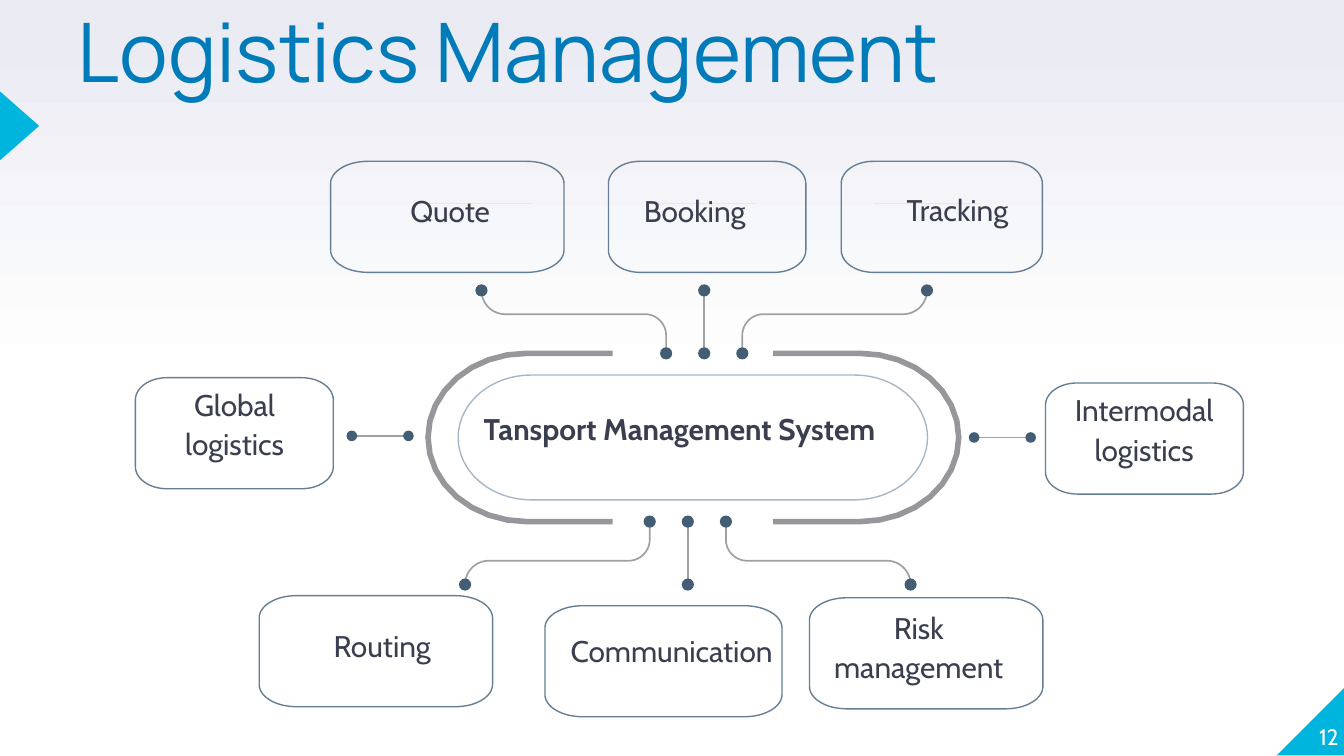
import copy
import math
import pptx
import pptx.util
import pptx.dml.color
import pptx.enum.shapes
import pptx.enum.text
import pptx.oxml.ns
import pptx.oxml.xmlchemy
import lxml.etree

Cm = pptx.util.Cm
Pt = pptx.util.Pt
SHAPE = pptx.enum.shapes.MSO_SHAPE
ALIGN = pptx.enum.text.PP_ALIGN
ANCHOR = pptx.enum.text.MSO_ANCHOR
CYAN, BLUE, INK, WHITE = "00B5DD", "007BB9", "3A3F50", "FFFFFF"
SLATE, PALE_SLATE, GREY, LINK_GREY, RULE = "657E93", "A5B7C6", "96979B", "9FA0A4", "E3E9ED"
DOT = "435D74"


def colour(code):
    return pptx.dml.color.RGBColor.from_string(code)


def write_text(text, left, top, width, height, size=16, font="Cabin", ink=INK, bold=False,
               align=ALIGN.CENTER, anchor=ANCHOR.TOP, spacing=1.1, before=6):
    frame = slide.shapes.add_textbox(Cm(left), Cm(top), Cm(width), Cm(height)).text_frame
    frame.margin_left = frame.margin_right = frame.margin_top = frame.margin_bottom = 0
    frame.word_wrap = True
    frame.vertical_anchor = anchor
    paragraph = frame.paragraphs[0]
    paragraph.alignment = align
    paragraph.line_spacing = spacing
    paragraph.space_before = Pt(before)
    run = paragraph.add_run()
    run.text = text
    run.font.size = Pt(size)
    run.font.name = font
    run.font.bold = bold
    run.font.color.rgb = colour(ink)


presentation = pptx.Presentation()
presentation.slide_width = Cm(25.4)
presentation.slide_height = Cm(14.29)
slide = presentation.slides.add_slide(presentation.slide_layouts[6])

background = slide.background.fill
background.gradient()
background.gradient_angle = 90
for stop, position, code in zip(background.gradient_stops, (0.5, 1), (WHITE, "E9EAF2")):
    stop.position = position
    stop.color.rgb = colour(code)
stop_list = next(slide.element.iter(pptx.oxml.ns.qn("a:gsLst")))
first_stop = copy.deepcopy(stop_list[0])
first_stop.set("pos", "0")
stop_list.insert(0, first_stop)

solids = [
    (SHAPE.RIGHT_TRIANGLE, 24.13, 12.98, 1.3, 1.3, 270, CYAN),
    (SHAPE.ISOSCELES_TRIANGLE, -0.28, 2.01, 1.3, 0.74, 90, CYAN),
]

boxes = [
    ("Quote", (6.25, 3.05, 4.41), (7.29, 3.58, 2.44, 0.94), ALIGN.CENTER),
    ("Booking", (11.5, 3.05, 3.73), (12.17, 3.58, 2.13, 1.04), ALIGN.LEFT),
    ("Tracking", (15.9, 3.05, 3.8), (16.48, 3.56, 3.23, 0.94), ALIGN.CENTER),
    ("Global logistics", (2.56, 7.14, 3.74), (2.77, 7.24, 3.33, 1.88), ALIGN.CENTER),
    ("Intermodal logistics", (19.76, 7.24, 3.74), (19.96, 7.34, 3.33, 1.88), ALIGN.CENTER),
    ("Routing", (4.9, 11.26, 4.41), (5.56, 11.79, 3.33, 1.04), ALIGN.CENTER),
    ("Communication", (10.3, 11.45, 4.48), (10.69, 11.89, 4.01, 1.88), ALIGN.CENTER),
    ("Risk management", (15.3, 11.3, 4.41), (15.7, 11.46, 3.33, 1.88), ALIGN.CENTER),
]

rounded = [(8.66, 7.09, 8.87, 2.36, 1.38, 1.18, PALE_SLATE)]
rounded += [(*place, 2.1, 0.16 * place[2], 0.42, SLATE) for _, place, _, _ in boxes]

outlines = []
for left, top, width, height, radius_x, radius_y, code in rounded:
    x1, x2 = left + radius_x, left + width - radius_x
    y1, y2 = top + radius_y, top + height - radius_y
    corners = [(x1, y1, 180), (x2, y1, 270), (x2, y2, 0), (x1, y2, 90)]
    arcs = [(x, y, radius_x, radius_y, angle, angle + 90) for x, y, angle in corners]
    outlines.append((arcs, True, code, 0.75))

for edge, center, side in ((11.58, 9.95, -1), (14.61, 16.26, 1)):
    arcs = [(edge, 6.68, 0, 0, 0, 0), (center, 8.27, side * 1.86, 1.59, -90, 90),
            (edge, 9.86, 0, 0, 0, 0)]
    outlines.append((arcs, False, GREY, 3))

lines = [(x, 3.85, x + 2, 3.85, RULE, 0.5) for x in (8.08, 12.29, 16.52)]
dots = []
for axis, outer, direction in ((13.31, 5.49, 1), (13, 11.05, -1)):
    inner = outer + direction * 1.19
    lines.append((axis, outer, axis, inner, LINK_GREY, 0.9))
    dots += [(axis, outer, 0.23), (axis, inner, 0.23)]
    for side in (-1, 1):
        arcs = [
            (axis + side * 3.76, outer, side * 0.45, direction * 0.45, 0, 90),
            (axis + side * 1.12, outer + direction * 0.85, side * 0.4, direction * 0.4, 270, 180),
            (axis + side * 0.72, inner, 0, 0, 0, 0),
        ]
        outlines.append((arcs, False, LINK_GREY, 0.9))
        dots += [(axis + side * 4.21, outer, 0.23), (axis + side * 0.72, inner, 0.23)]

for start, end, y in ((6.65, 7.72, 8.24), (18.41, 19.48, 8.27)):
    lines.append((start, y, end, y, LINK_GREY, 0.9))
    dots += [(start, y, 0.2), (end, y, 0.2)]

for arcs, closed, code, weight in outlines:
    points = []
    for x, y, radius_x, radius_y, start, end in arcs:
        steps = 16 if end != start else 0
        for step in range(steps + 1):
            angle = math.radians(start + (end - start) * step / max(steps, 1))
            points.append((Cm(x + radius_x * math.cos(angle)), Cm(y + radius_y * math.sin(angle))))
    builder = slide.shapes.build_freeform(*points[0])
    builder.add_line_segments(points[1:], close=closed)
    shape = builder.convert_to_shape()
    shape.shadow.inherit = False
    shape.fill.background()
    shape.line.color.rgb = colour(code)
    shape.line.width = Pt(weight)

for x1, y1, x2, y2, code, weight in lines:
    connector = slide.shapes.add_connector(
        pptx.enum.shapes.MSO_CONNECTOR.STRAIGHT, Cm(x1), Cm(y1), Cm(x2), Cm(y2))
    connector.line.color.rgb = colour(code)
    connector.line.width = Pt(weight)
    lxml.etree.SubElement(connector.element.spPr, pptx.oxml.ns.qn("a:effectLst"))

solids += [(SHAPE.OVAL, x - size / 2, y - size / 2, size, size, 0, DOT) for x, y, size in dots]
for kind, left, top, width, height, rotation, code in solids:
    shape = slide.shapes.add_shape(kind, Cm(left), Cm(top), Cm(width), Cm(height))
    shape.rotation = rotation
    shape.shadow.inherit = False
    shape.fill.solid()
    shape.fill.fore_color.rgb = colour(code)
    shape.line.fill.background()

write_text("Logistics Management", 1.47, 0.36, 21.64, 1.5, size=44, font="Manrope", ink=BLUE,
           align=ALIGN.LEFT, spacing=0.8, before=0)
write_text("Tansport Management System", 9.14, 7.7, 8.18, 1.75, bold=True, align=ALIGN.LEFT)
for label, _, place, align in boxes:
    write_text(label, *place, align=align)
write_text("12", 24.03, 12.88, 1.27, 1.3, size=12, ink=WHITE, align=ALIGN.RIGHT,
           anchor=ANCHOR.BOTTOM, spacing=1.0, before=0)

presentation.save("out.pptx")
